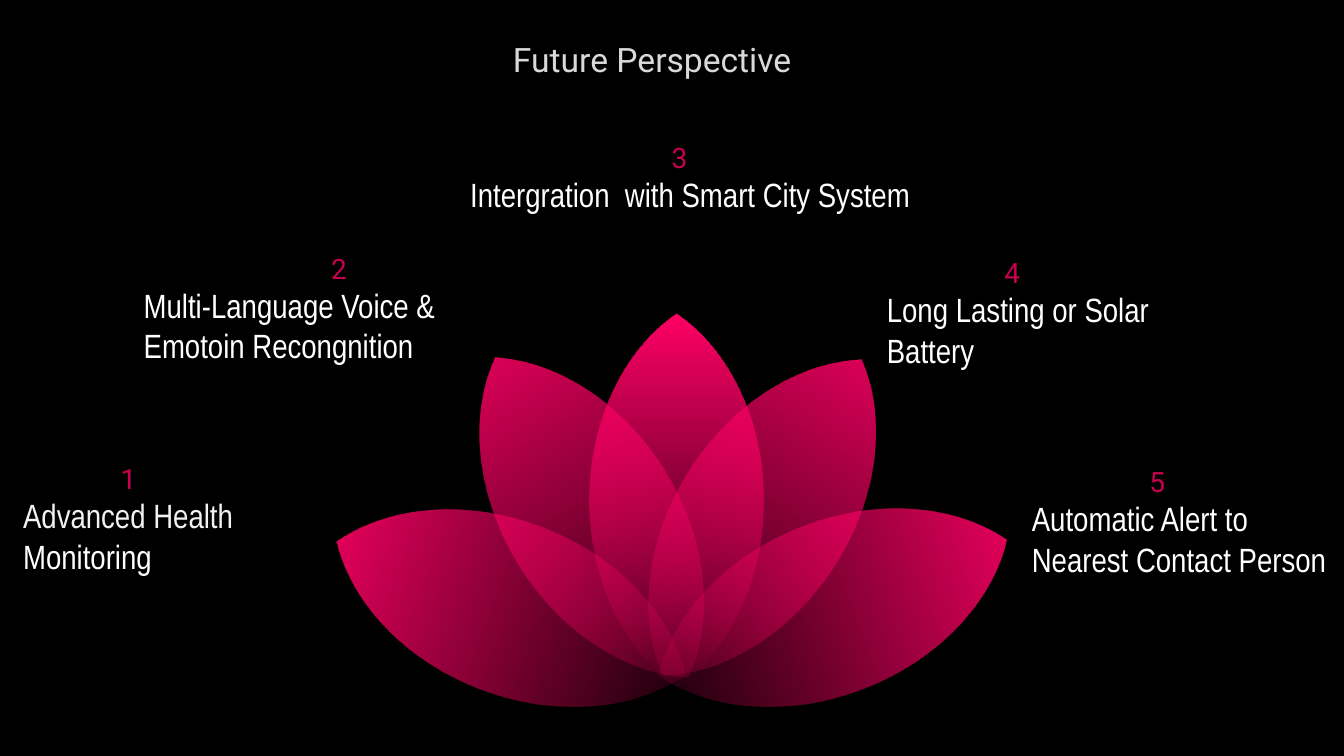
from copy import deepcopy

from lxml.etree import Element, SubElement
from pptx import Presentation
from pptx.dml.color import RGBColor
from pptx.enum.text import MSO_AUTO_SIZE
from pptx.oxml.ns import qn
from pptx.util import Inches, Pt

SLIDE_WIDTH, SLIDE_HEIGHT = Inches(13.33), Inches(7.5)
CRIMSON, WHITE = "C70050", "FFFFFF"

TITLE_BOX = (37.43, 4.45, 27.83, 6.67)
FLOWER_BOX = (25.03, 41.53, 49.89, 52)
PETAL_SIZE = (25.86, 94.87)
PETALS = [
    (50.68, 47.44, 180),
    (63.46, 51.79, 212),
    (73.98, 74.62, 248.7),
    (38.05, 51.79, 149),
    (26.02, 74.87, 110.9),
]
PETAL_OUTLINE = [
    [(51.7, 0.6)],
    [(80.2, 10), (100, 28.6), (100, 50)],
    [(100, 71.4), (80.2, 90), (51.7, 99.4)],
    [(50, 100)],
    [(48.3, 99.4)],
    [(19.8, 90), (0, 71.4), (0, 50)],
    [(0, 28.6), (19.8, 10), (48.3, 0.6)],
]
PETAL_GRADIENT = [
    (0, "FF0000", 0),
    (0, "000000", 100),
    (0, "FF0066", 100),
    (1, "FF0066", 0),
]
PERSPECTIVES = [
    ("3", 40.6, (34.25, 17.87, 36.91, 15.73),
     [("Intergration  with Smart City System", WHITE)]),
    ("4", 39.4, (65.25, 33.15, 22.21, 16.67),
     [("Long Lasting or Solar Battery", WHITE)]),
    ("5", 36.5, (76.04, 60.8, 23.93, 22),
     [("Automatic Alert to Nearest Contact Person", WHITE)]),
    ("2", 45.7, (9.95, 32.57, 30.53, 16.67),
     [("Multi-Language Voice & Emotoin Recongnition", WHITE)]),
    ("1", 28.6, (0.98, 60.4, 25.36, 11.2),
     [("Advanced Health ", "F2F2F2"), ("Monitoring", WHITE)]),
]


def paint(target, colour):
    target.rgb = RGBColor.from_string(colour)


def share(percent, whole):
    return round(percent * whole / 100)


def slide_box(percents):
    wholes = (SLIDE_WIDTH, SLIDE_HEIGHT) * 2
    return [share(percent, whole) for percent, whole in zip(percents, wholes)]


def add_run(paragraph, wording, size, font_name, colour):
    run = paragraph.add_run()
    run.text = wording
    run.font.size = Pt(size)
    run.font.name = font_name
    paint(run.font.color, colour)


def add_text_frame(slide, box):
    frame = slide.shapes.add_textbox(*box).text_frame
    frame.word_wrap = True
    frame.auto_size = MSO_AUTO_SIZE.SHAPE_TO_FIT_TEXT
    return frame


def add_title(slide, box):
    heading = add_text_frame(slide, box).paragraphs[0]
    add_run(heading, "Future Perspective", 24, "Roboto", "D9D9D9")


def add_perspective(slide, box, number, indent, wording):
    frame = add_text_frame(slide, box)
    number_line = frame.paragraphs[0]
    number_line._p.get_or_add_pPr().set("marL", str(share(indent, box[2])))
    add_run(number_line, number, 20, "Roboto", CRIMSON)
    statement = frame.add_paragraph()
    for words, colour in wording:
        add_run(statement, words, 24, "Arial Narrow", colour)


def bend_edges(petal, width, height):
    edges = petal._element.findall(".//" + qn("a:lnTo"))
    for edge, (*controls, _) in zip(edges, PETAL_OUTLINE):
        if controls:
            edge.tag = qn("a:cubicBezTo")
        for position, (across, down) in enumerate(controls):
            control = Element(qn("a:pt"), x=str(share(across, width)), y=str(share(down, height)))
            edge.insert(position, control)


def shade_petal(petal):
    petal.fill.gradient()
    petal.fill.gradient_angle = 90
    stop_list = petal._element.spPr.find(".//" + qn("a:gsLst"))
    stop_list.extend([deepcopy(stop) for stop in stop_list])
    for stop, (position, colour, _) in zip(petal.fill.gradient_stops, PETAL_GRADIENT):
        stop.position = position
        paint(stop.color, colour)
    for tint, (_, _, opacity) in zip(stop_list.findall(".//" + qn("a:srgbClr")), PETAL_GRADIENT):
        SubElement(tint, qn("a:alpha")).set("val", str(opacity * 1000))


def add_petal(slide, centre_x, centre_y, width, height, turn):
    builder = slide.shapes.build_freeform(share(50, width), 0)
    corners = [edge[-1] for edge in PETAL_OUTLINE]
    builder.add_line_segments([(share(x, width), share(y, height)) for x, y in corners], close=True)
    petal = builder.convert_to_shape(round(centre_x - width / 2), round(centre_y - height / 2))
    bend_edges(petal, width, height)
    petal.rotation = turn
    petal.shadow.inherit = False
    petal.line.fill.background()
    shade_petal(petal)


def add_flower(slide, box):
    left, top, width, height = box
    petal_width, petal_height = PETAL_SIZE
    for across, down, turn in PETALS:
        add_petal(slide, left + share(across, width), top + share(down, height),
                  share(petal_width, width), share(petal_height, height), turn)


def main():
    deck = Presentation()
    deck.slide_width, deck.slide_height = SLIDE_WIDTH, SLIDE_HEIGHT
    slide = deck.slides.add_slide(deck.slide_layouts[6])
    slide.background.fill.solid()
    paint(slide.background.fill.fore_color, "000000")
    add_flower(slide, slide_box(FLOWER_BOX))
    add_title(slide, slide_box(TITLE_BOX))
    for number, indent, percents, wording in PERSPECTIVES:
        add_perspective(slide, slide_box(percents), number, indent, wording)
    deck.save("out.pptx")


if __name__ == "__main__":
    main()
